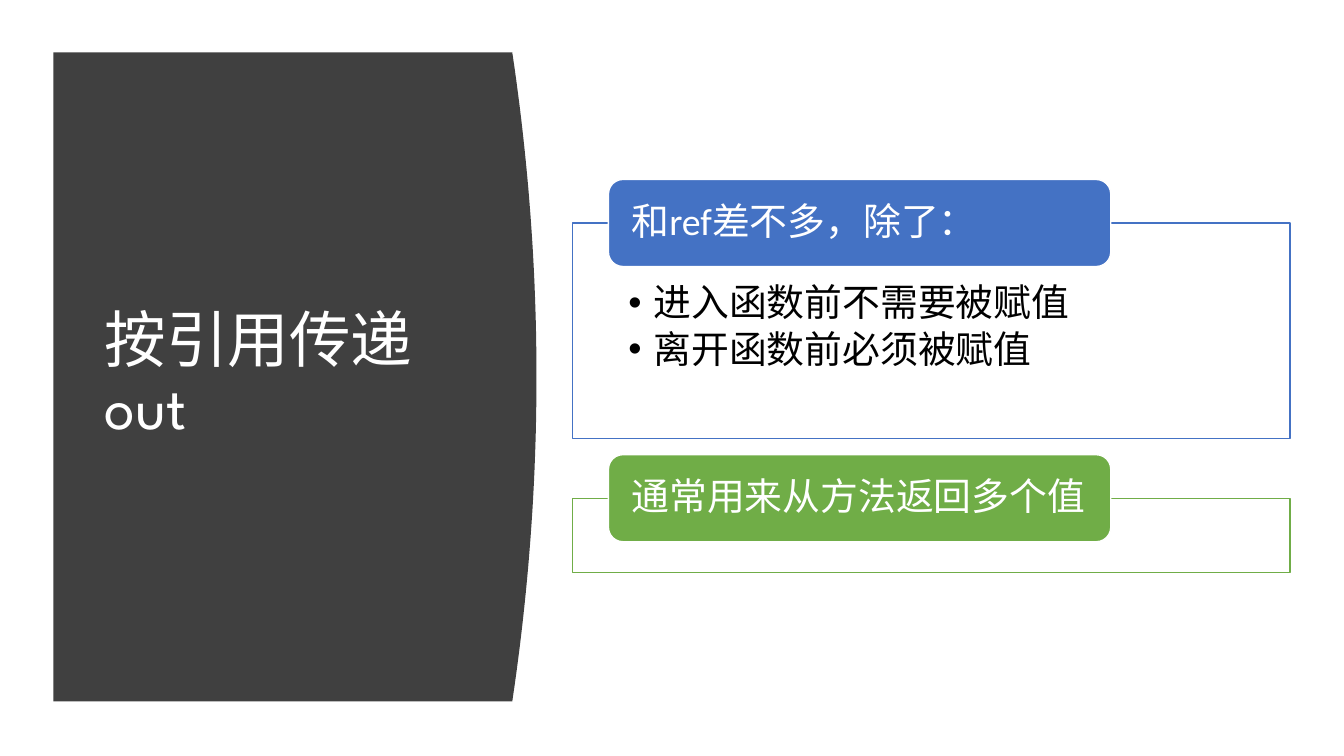
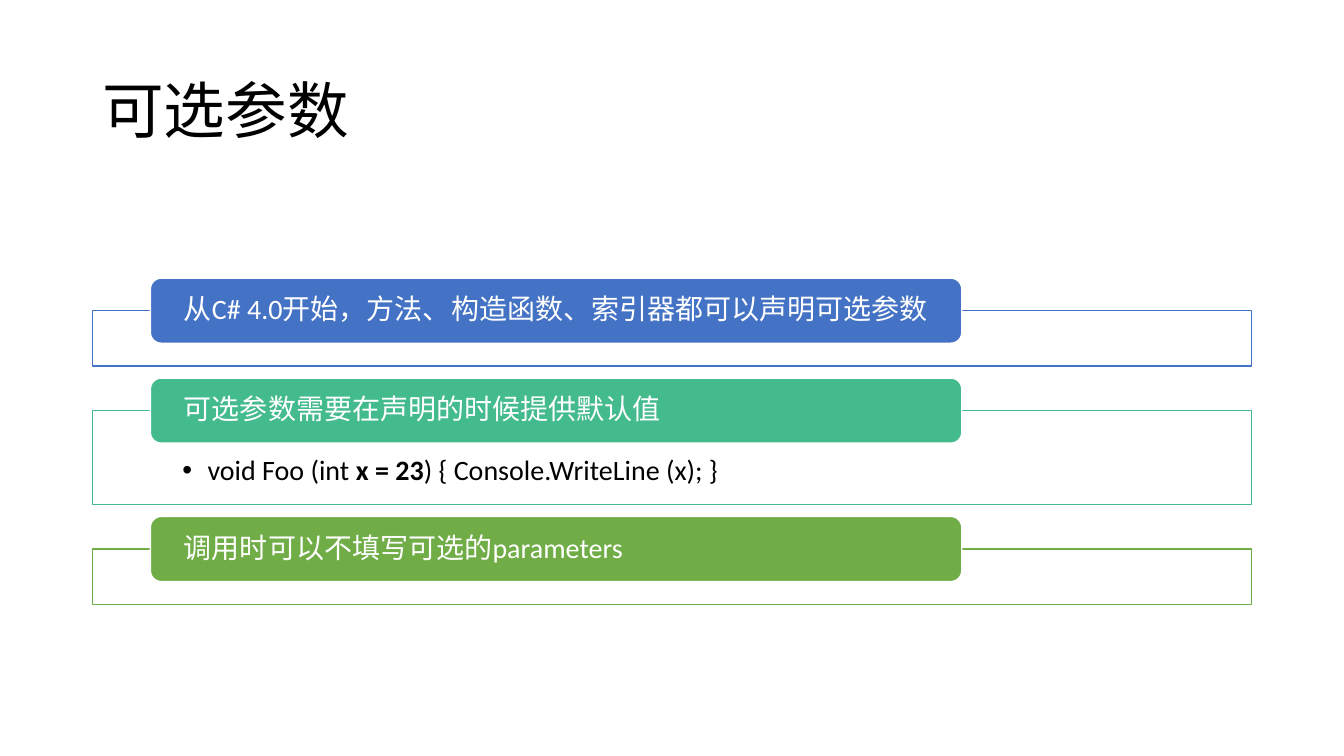
from lxml.etree import SubElement
from pptx import Presentation
from pptx.dml.color import RGBColor
from pptx.enum.shapes import MSO_SHAPE
from pptx.enum.text import MSO_ANCHOR, PP_ALIGN
from pptx.oxml.ns import qn
from pptx.util import Pt

WHITE, BLACK, CHARCOAL = "FFFFFF", "000000", "404040"
BLUE, TEAL, GREEN = "4472C4", "43BB8D", "70AD47"
TITLE_FONT, BODY_FONT = "League Spartan", "Calibri"
TITLE_SIZE = 44
BULLET_INDENT = 18


def rgb(hex_color):
    return RGBColor.from_string(hex_color)


def set_values(target, values):
    for name, value in values.items():
        setattr(target, name, value)


def paint(shape, fill, line=None):
    shape.shadow.inherit = False
    shape.fill.solid()
    shape.fill.fore_color.rgb = rgb(fill)
    if line:
        shape.line.color.rgb = rgb(line)
        shape.line.width = Pt(1)
    else:
        shape.line.fill.background()


def add_bullet(para):
    properties = para._p.get_or_add_pPr()
    properties.set("marL", str(Pt(BULLET_INDENT)))
    properties.set("indent", str(-Pt(BULLET_INDENT)))
    SubElement(properties, qn("a:buFont")).set("typeface", "Arial")
    SubElement(properties, qn("a:buChar")).set("char", "•")


def write(shape, paragraphs, font, size, color, anchor, insets, bulleted=False):
    """Fill a shape with paragraphs, each a list of (text, bold) spans."""
    frame = shape.text_frame
    left, top, right, bottom = map(Pt, insets)
    set_values(frame, {
        "word_wrap": True, "vertical_anchor": anchor, "margin_left": left,
        "margin_top": top, "margin_right": right, "margin_bottom": bottom,
    })
    for index, spans in enumerate(paragraphs):
        para = frame.add_paragraph() if index else frame.paragraphs[0]
        if bulleted:
            add_bullet(para)
        set_values(para, {
            "alignment": PP_ALIGN.LEFT, "line_spacing": 0.9,
            "space_after": Pt(size * 0.15 if bulleted else 0),
        })
        for text, bold in spans:
            span = para.add_run()
            span.text = text
            set_values(span.font, {"name": font, "size": Pt(size), "bold": bold})
            span.font.color.rgb = rgb(color)


def add_title(page, box, text, color):
    title = page.shapes.add_textbox(*map(Pt, box))
    write(title, [[(text, False)]], TITLE_FONT, TITLE_SIZE, color,
          MSO_ANCHOR.MIDDLE, (7.2, 3.6, 7.2, 3.6))


def add_curved_panel(page, box, bulge, steps=48):
    """Draw a dark panel whose right side bows outwards by bulge."""
    left, top, width, height = box
    outline = [(left, top)]
    for step in range(steps + 1):
        offset = 2 * step / steps - 1
        outline.append((left + width - bulge * offset ** 2,
                        top + height * step / steps))
    outline.append((left, top + height))
    points = [(Pt(x), Pt(y)) for x, y in outline]
    builder = page.shapes.build_freeform(*points[0])
    builder.add_line_segments(points[1:], close=True)
    paint(builder.convert_to_shape(), CHARCOAL)


def add_section_list(page, box, tab_height, size, sections):
    """Stack framed sections; each is (colour, heading, frame height, bullets)."""
    left, top, width = box
    for color, heading, frame_height, bullets in sections:
        frame_height = frame_height or tab_height * 0.85
        frame_top = top + tab_height / 2
        frame = page.shapes.add_shape(
            MSO_SHAPE.RECTANGLE, Pt(left), Pt(frame_top), Pt(width), Pt(frame_height))
        paint(frame, WHITE, color)
        if bullets:
            side = width * 0.0776
            write(frame, bullets, BODY_FONT, size, BLACK, MSO_ANCHOR.TOP,
                  (side, tab_height * 0.7, side, tab_height * 0.24), bulleted=True)
        tab = page.shapes.add_shape(
            MSO_SHAPE.ROUNDED_RECTANGLE, Pt(left + width * 0.05), Pt(top),
            Pt(width * 0.7), Pt(tab_height))
        paint(tab, color, WHITE)
        side = width * 0.0262
        write(tab, [[(heading, False)]], BODY_FONT, size, WHITE,
              MSO_ANCHOR.MIDDLE, (side, 0, side, 0))
        top = frame_top + frame_height + tab_height * 0.185


def build_out_page(page):
    add_curved_panel(page, (38.2, 37.4, 345, 463.7), bulge=17.3)
    add_title(page, (67.5, 80, 269.5, 377), "按引用传递out", WHITE)
    add_section_list(page, (409, 128.2, 512.6), 62.2, 27, [
        (BLUE, "和ref差不多，除了：", 154,
         [[("进入函数前不需要被赋值", False)], [("离开函数前必须被赋值", False)]]),
        (GREEN, "通常用来从方法返回多个值", None, []),
    ])


def build_optional_page(page):
    add_title(page, (66, 28.75, 828, 104.4), "可选参数", BLACK)
    add_section_list(page, (66, 198.7, 828), 46.5, 20, [
        (BLUE, "从C# 4.0开始，方法、构造函数、索引器都可以声明可选参数", None, []),
        (TEAL, "可选参数需要在声明的时候提供默认值", 67,
         [[("void Foo (int ", False), ("x = 23", True),
           (") { Console.WriteLine (x); }", False)]]),
        (GREEN, "调用时可以不填写可选的parameters", None, []),
    ])


def main():
    deck = Presentation()
    set_values(deck, {"slide_width": Pt(960), "slide_height": Pt(540)})
    for build in (build_out_page, build_optional_page):
        build(deck.slides.add_slide(deck.slide_layouts[6]))
    deck.save("out.pptx")


if __name__ == "__main__":
    main()
